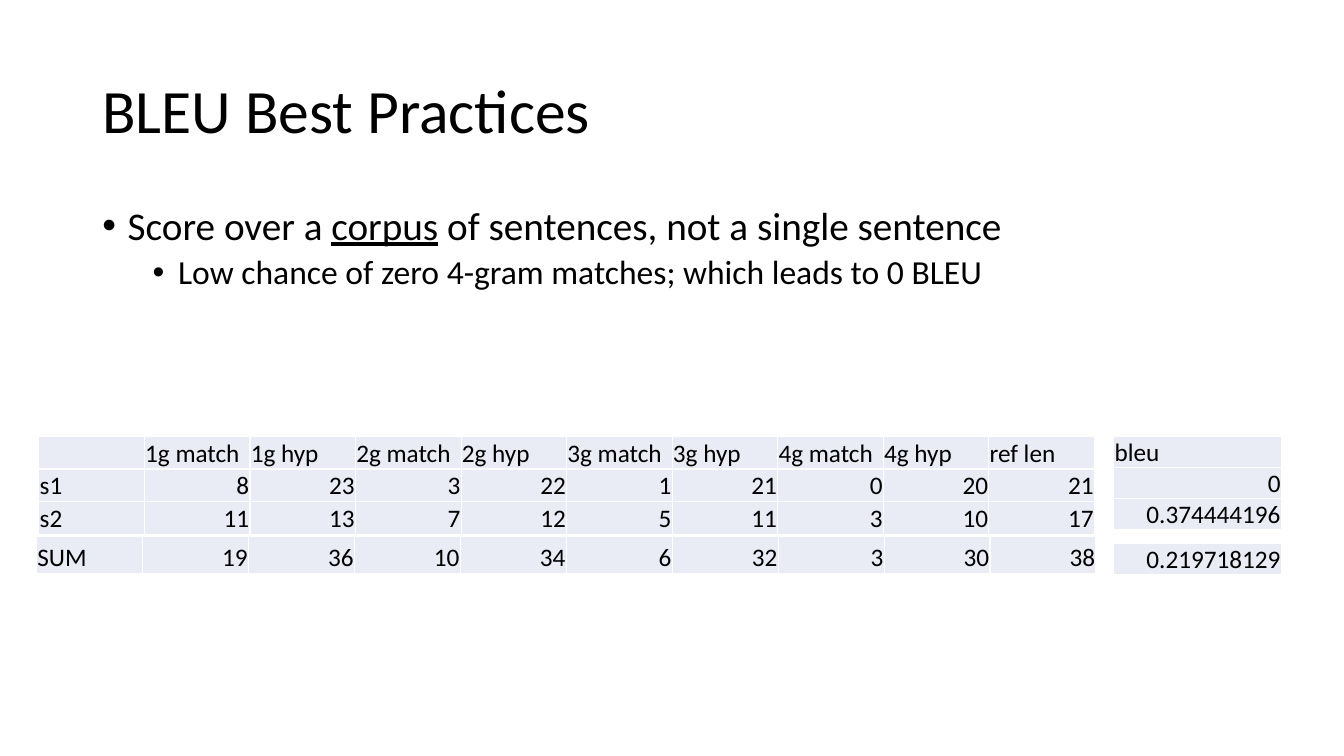
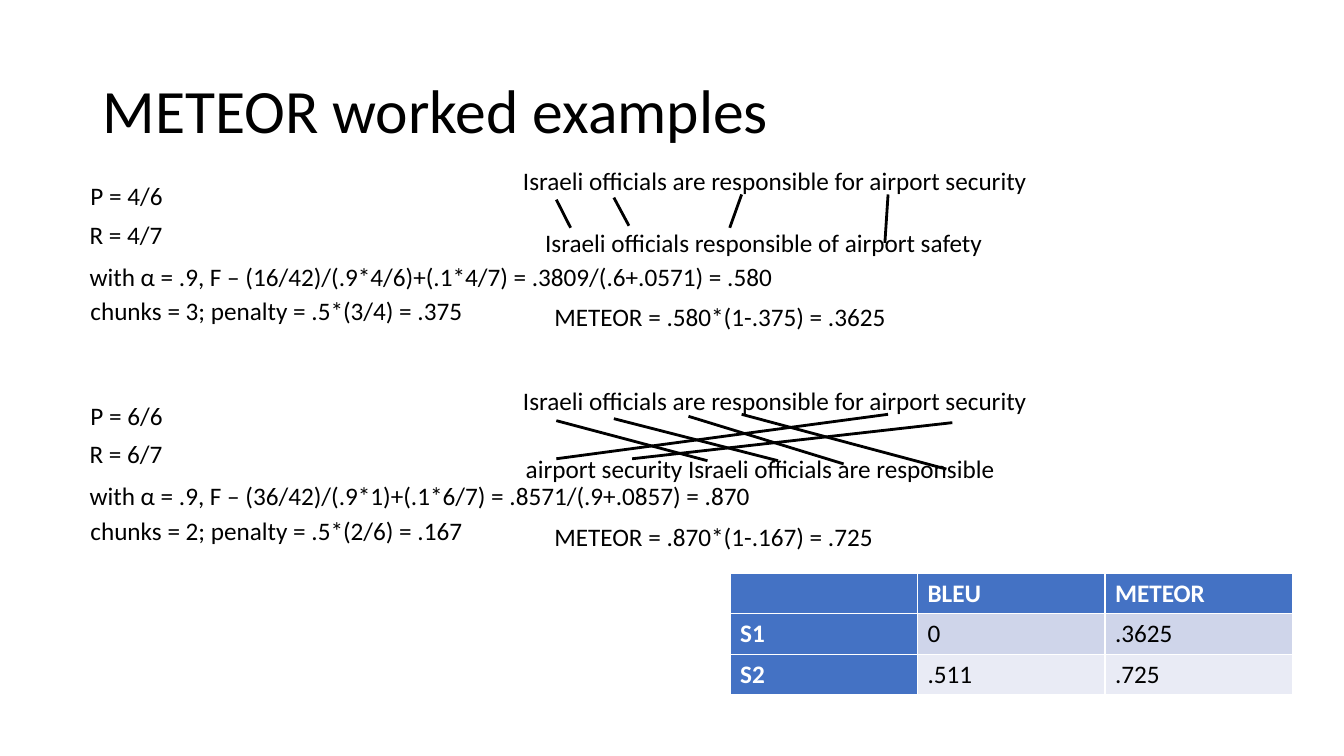
import pptx
import pptx.util
import pptx.dml.color
import pptx.enum.text
import pptx.enum.shapes
import pptx.oxml.ns
import lxml.etree

Cm = pptx.util.Cm
Pt = pptx.util.Pt
qn = pptx.oxml.ns.qn
ALIGN = pptx.enum.text.PP_ALIGN
ANCHOR = pptx.enum.text.MSO_ANCHOR

BLACK, WHITE, BLUE = "000000", "FFFFFF", "4472C4"
PALE, MID = "E9EBF5", "CFD5EA"


def tint(fill, hue):
    fill.solid()
    fill.fore_color.rgb = pptx.dml.color.RGBColor.from_string(hue)


def pen(font, size, hue=BLACK, bold=False):
    font.name = "Calibri"
    font.size = Pt(size)
    font.bold = bold
    tint(font.fill, hue)


deck = pptx.Presentation()
deck.slide_width = Cm(33.87)
deck.slide_height = Cm(19.05)

pages = []
for name in ["BLEU Best Practices", "METEOR worked examples"]:
    page = deck.slides.add_slide(deck.slide_layouts[5])
    title = page.shapes.title
    title.left, title.top = Cm(2.33), Cm(1.01)
    title.width, title.height = Cm(29.21), Cm(3.68)
    title.text_frame.text = name
    title.text_frame.vertical_anchor = ANCHOR.MIDDLE
    para = title.text_frame.paragraphs[0]
    para.alignment = ALIGN.LEFT
    para.line_spacing = 0.9
    pen(para.font, 44)
    pages.append(page)
bleu, meteor = pages

body = bleu.shapes.add_textbox(Cm(2.33), Cm(5.07), Cm(29.21), Cm(3)).text_frame
body.word_wrap = True
points = [
    (0, 28, 0.64, ["Score over a ", "corpus", " of sentences, not a single sentence"]),
    (1, 24, 1.91, ["Low chance of zero 4-gram matches; which leads to 0 BLEU"]),
]
for level, size, left, parts in points:
    para = body.add_paragraph() if level else body.paragraphs[0]
    para.level = level
    para.line_spacing = 0.9
    if level:
        para.space_before = Pt(5)
    for part in parts:
        run = para.add_run()
        run.text = part
        if part == "corpus":
            run.font.underline = True
    props = para._p.get_or_add_pPr()
    props.set("marL", str(Cm(left)))
    props.set("indent", str(-Cm(0.64)))
    lxml.etree.SubElement(props, qn("a:buFont")).set("typeface", "Arial")
    lxml.etree.SubElement(props, qn("a:buChar")).set("char", "•")
    pen(para.font, size)

samples = [
    {
        "top": 4.04,
        "texts": [
            (12.93, 0, 13.36, "Israeli officials are responsible for airport security"),
            (13.49, 1.57, 11.66, "Israeli officials responsible of airport safety"),
            (2.03, 0.38, 2.36, "P = 4/6"),
            (2.01, 1.35, 2.36, "R = 4/7"),
            (2.01, 2.41, 17.93,
             "with α = .9, F – (16/42)/(.9*4/6)+(.1*4/7) = .3809/(.6+.0571) = .580"),
            (2.03, 3.28, 10, "chunks = 3; penalty = .5*(3/4) = .375"),
            (13.72, 3.43, 8.94, "METEOR = .580*(1-.375) = .3625"),
        ],
        "links": [
            (14.02, 0.99, 14.38, 1.7),
            (15.47, 0.94, 15.85, 1.65),
            (18.69, 0.86, 18.39, 1.7),
            (22.38, 0.86, 22.3, 2.08),
        ],
    },
    {
        "top": 9.58,
        "texts": [
            (12.93, 0, 13.36, "Israeli officials are responsible for airport security"),
            (13, 1.73, 12.62, "airport security Israeli officials are responsible"),
            (2.03, 0.38, 2.36, "P = 6/6"),
            (2.01, 1.35, 2.36, "R = 6/7"),
            (2.01, 2.41, 17.37,
             "with α = .9, F – (36/42)/(.9*1)+(.1*6/7) = .8571/(.9+.0857) = .870"),
            (2.03, 3.28, 10, "chunks = 2; penalty = .5*(2/6) = .167"),
            (13.72, 3.43, 8.64, "METEOR = .870*(1-.167) = .725"),
        ],
        "links": [
            (14.02, 1.02, 17.83, 2.03),
            (15.47, 0.97, 19.61, 2.03),
            (17.35, 0.91, 21.26, 2.11),
            (18.69, 0.86, 23.85, 2.24),
            (22.38, 0.86, 14.02, 1.98),
            (24, 1.07, 15.93, 1.98),
        ],
    },
]
for sample in samples:
    top = sample["top"]
    for x, y, wide, text in sample["texts"]:
        frame = meteor.shapes.add_textbox(Cm(x), Cm(top + y), Cm(wide), Cm(1.02)).text_frame
        frame.word_wrap = False
        frame.auto_size = pptx.enum.text.MSO_AUTO_SIZE.SHAPE_TO_FIT_TEXT
        frame.text = text
        pen(frame.paragraphs[0].font, 18)
    for x1, y1, x2, y2 in sample["links"]:
        link = meteor.shapes.add_connector(
            pptx.enum.shapes.MSO_CONNECTOR.STRAIGHT,
            Cm(x1), Cm(top + y1), Cm(x2), Cm(top + y2))
        link.line.width = Pt(2)
        tint(link.line.fill, BLACK)
        lxml.etree.SubElement(link._element.spPr, qn("a:effectLst"))

tables = [
    (bleu, False, 0.98, 11, 26.6, 2.46, [
        ["", "1g match", "1g hyp", "2g match", "2g hyp", "3g match", "3g hyp",
         "4g match", "4g hyp", "ref len"],
        ["s1", "8", "23", "3", "22", "1", "21", "0", "20", "21"],
        ["s2", "11", "13", "7", "12", "5", "11", "3", "10", "17"],
    ]),
    (bleu, False, 28.07, 11, 4.22, 2.34, [["bleu"], ["0"], ["0.374444196"]]),
    (bleu, False, 0.92, 13.51, 26.7, 0.94, [
        ["SUM", "19", "36", "10", "34", "6", "32", "3", "30", "38"],
    ]),
    (bleu, False, 28.07, 13.7, 4.22, 0.78, [["0.219718129"]]),
    (meteor, True, 18.4, 14.45, 14.17, 3.05, [
        ["", "BLEU", "METEOR"],
        ["S1", "0", ".3625"],
        ["S2", ".511", ".725"],
    ]),
]
for page, head, x, y, wide, high, rows in tables:
    table = page.shapes.add_table(
        len(rows), len(rows[0]), Cm(x), Cm(y), Cm(wide), Cm(high)).table
    table.first_row = table.first_col = table.horz_banding = head
    for r, row in enumerate(rows):
        for c, text in enumerate(row):
            cell = table.cell(r, c)
            cell.text = text
            para = cell.text_frame.paragraphs[0]
            label = head and 0 in (r, c)
            pen(para.font, 18, WHITE if label else BLACK, label)
            tint(cell.fill, BLUE if label else MID if head and r == 1 else PALE)
            if not head:
                cell.vertical_anchor = ANCHOR.BOTTOM
                cell.margin_left = cell.margin_right = cell.margin_top = Cm(0.02)
                cell.margin_bottom = 0
                if text.replace(".", "").isdigit():
                    para.alignment = ALIGN.RIGHT

deck.save("out.pptx")
